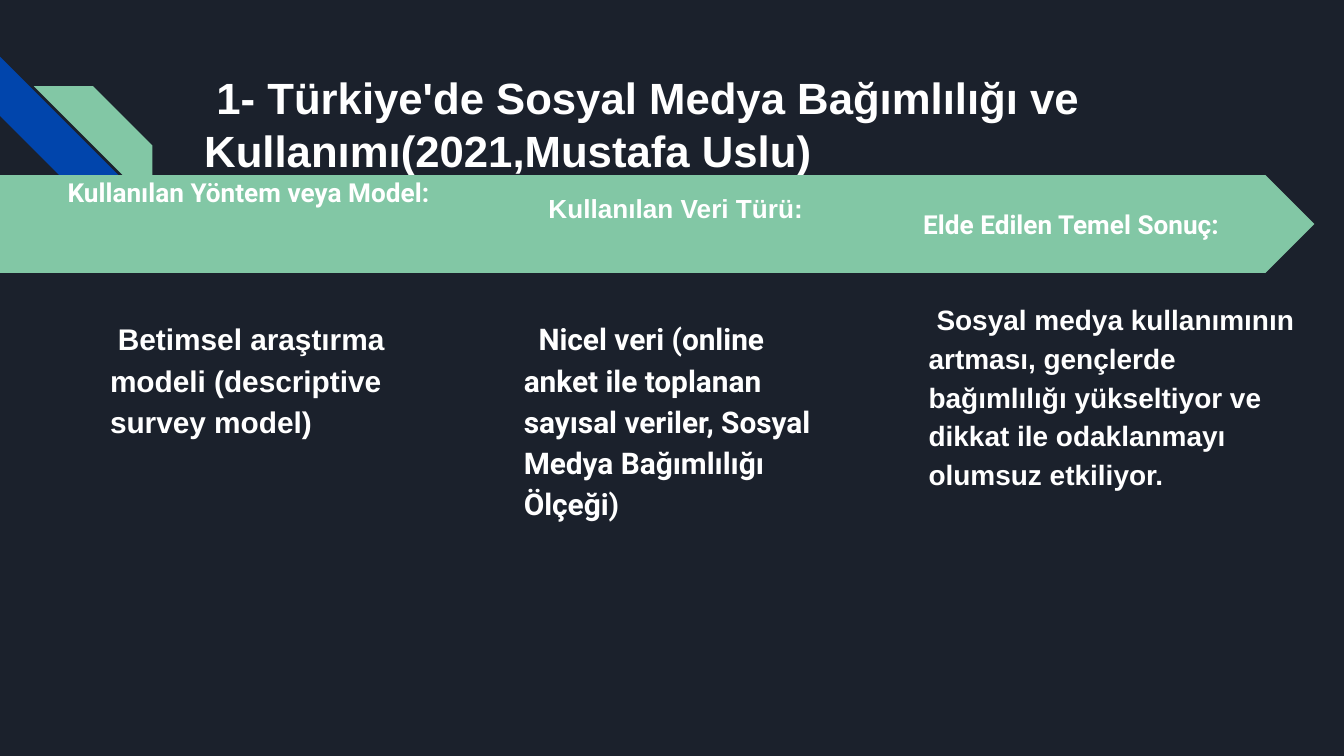
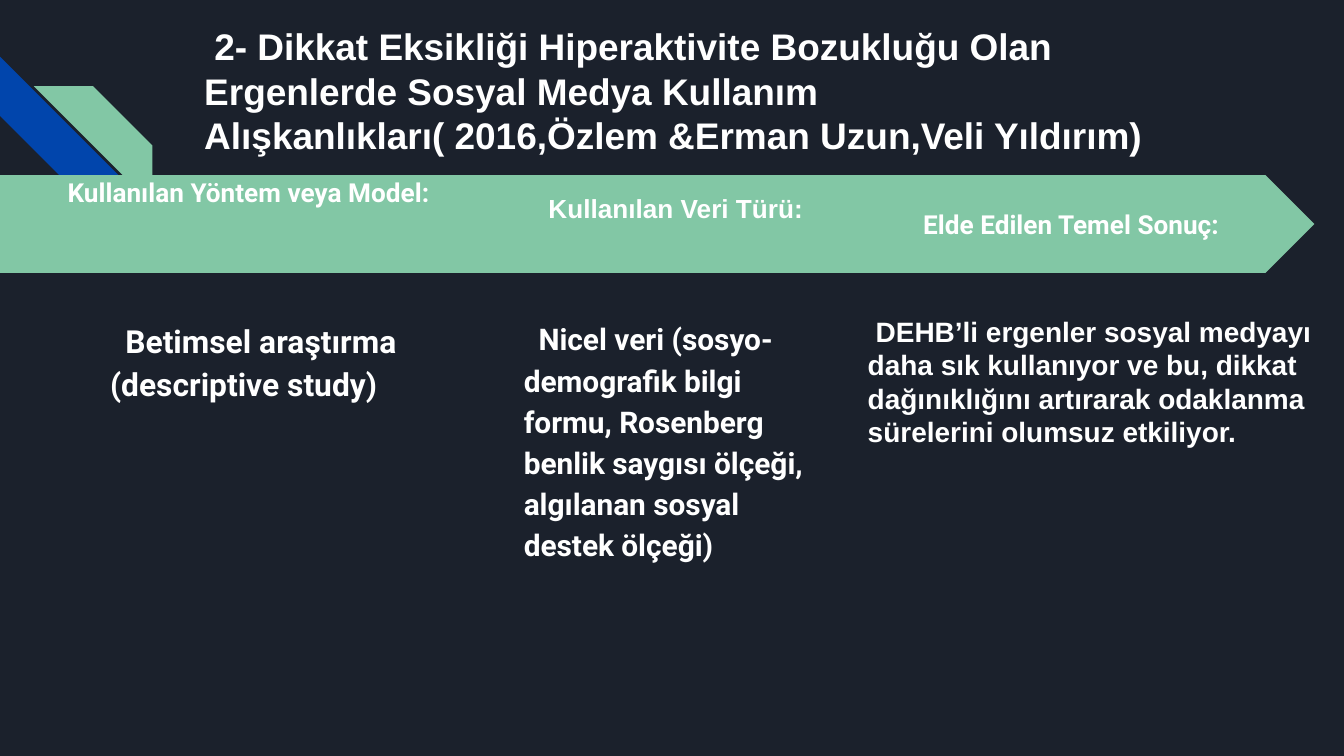
from dataclasses import dataclass

from pptx import Presentation
from pptx.dml.color import RGBColor
from pptx.enum.shapes import MSO_SHAPE
from pptx.enum.text import MSO_ANCHOR, MSO_AUTO_SIZE, PP_ALIGN
from pptx.util import Cm, Pt

STRIPE = MSO_SHAPE.DIAGONAL_STRIPE
PENTAGON = MSO_SHAPE.PENTAGON
CHEVRON = MSO_SHAPE.CHEVRON
TOP = MSO_ANCHOR.TOP
LEFT, CENTER = PP_ALIGN.LEFT, PP_ALIGN.CENTER
NO_FIT, GROW = MSO_AUTO_SIZE.NONE, MSO_AUTO_SIZE.SHAPE_TO_FIT_TEXT

NAVY, BLUE, GREEN, WHITE = "1B212C", "0145AC", "82C7A5", "FFFFFF"
ARIAL, ROBOTO = "Arial", "Roboto"
INSET = 0.25
BAND_TOP, BAND_HEIGHT = 3.31, 1.85
TITLE_ONLY = 5


# Lengths in the records are centimetres, text sizes are points.
@dataclass
class Box:
    left: float
    top: float
    width: float
    height: float


@dataclass
class Style:
    size: float
    font: str = ARIAL
    first_line: float = 0
    margin: float = 0
    spacing: float = 1.0
    align: PP_ALIGN = LEFT


@dataclass
class Stripe:
    left: float
    top: float
    rotation: int
    color: str


@dataclass
class Band:
    text: str
    preset: MSO_SHAPE
    left: float
    width: float
    font: str


@dataclass
class Body:
    text: str
    box: Box
    style: Style
    fit: MSO_AUTO_SIZE = NO_FIT


@dataclass
class Study:
    title: str
    title_top: float
    title_style: Style
    bodies: list[Body]


# Shared parts
STRIPES = [Stripe(0, 1.07, 270, BLUE), Stripe(0.64, 1.63, 90, GREEN)]
BANDS = [
    Band("Kullanılan Yöntem veya Model:", PENTAGON, 0, 9.86, ROBOTO),
    Band("Kullanılan Veri Türü:", CHEVRON, 8.18, 9.19, ARIAL),
    Band("Elde Edilen Temel Sonuç:", CHEVRON, 15.65, 9.19, ROBOTO),
]
METHOD_BOX = Box(1.83, 5.72, 6.22, 7.26)
DATA_BOX = Box(9.65, 5.72, 6.22, 7.26)
DATA_STYLE = Style(16, ROBOTO, 0.28, spacing=1.15)

# Slide contents
STUDIES = [
    Study(
        "1- Türkiye'de Sosyal Medya Bağımlılığı ve Kullanımı(2021,Mustafa Uslu)",
        1.09, Style(23.4, first_line=0.23),
        [
            Body("Betimsel araştırma modeli (descriptive survey model)",
                 METHOD_BOX, Style(16, first_line=0.15, spacing=1.15)),
            Body("Nicel veri (online anket ile toplanan sayısal veriler, "
                 "Sosyal Medya Bağımlılığı Ölçeği)", DATA_BOX, DATA_STYLE),
            Body("Sosyal medya kullanımının artması, gençlerde bağımlılığı "
                 "yükseltiyor ve dikkat ile odaklanmayı olumsuz etkiliyor.",
                 Box(16.23, 5.38, 8.89, 6.02),
                 Style(15, first_line=0.15, margin=1.07, spacing=1.15), GROW),
        ],
    ),
    Study(
        "2- Dikkat Eksikliği Hiperaktivite Bozukluğu Olan Ergenlerde Sosyal Medya "
        "Kullanım Alışkanlıkları( 2016,Özlem &Erman Uzun,Veli Yıldırım)",
        0.2, Style(19.8, first_line=0.19),
        [
            Body("Betimsel araştırma (descriptive study)",
                 METHOD_BOX, Style(17, ROBOTO, 0.29, spacing=1.15)),
            Body("Nicel veri (sosyo-demografik bilgi formu, Rosenberg benlik saygısı "
                 "ölçeği, algılanan sosyal destek ölçeği)", DATA_BOX, DATA_STYLE),
            Body("DEHB’li ergenler sosyal medyayı daha sık kullanıyor ve bu, dikkat "
                 "dağınıklığını artırarak odaklanma sürelerini olumsuz etkiliyor.",
                 Box(16.15, 5.69, 8.89, 4.95), Style(15, first_line=0.15), GROW),
        ],
    ),
]


def rgb(color: str) -> RGBColor:
    return RGBColor.from_string(color)


def emus(box: Box) -> list[Cm]:
    return [Cm(v) for v in (box.left, box.top, box.width, box.height)]


def write(sp, text: str, style: Style, inset_top: float = INSET, fit=NO_FIT) -> None:
    tf = sp.text_frame
    tf.text = text
    tf.word_wrap = True
    tf.auto_size = fit
    tf.vertical_anchor = TOP
    tf.margin_left = tf.margin_right = tf.margin_bottom = Cm(INSET)
    tf.margin_top = Cm(inset_top)
    p = tf.paragraphs[0]
    p_pr = p._p.get_or_add_pPr()
    p_pr.set("marL", str(Cm(style.margin)))
    p_pr.set("indent", str(Cm(style.first_line)))
    p.alignment = style.align
    p.line_spacing = style.spacing
    p.space_before = Pt(0)
    font = p.runs[0].font
    font.name, font.size, font.bold = style.font, Pt(style.size), True
    font.color.rgb = rgb(WHITE)


def add_shape(s, preset: MSO_SHAPE, box: Box, color: str):
    sp = s.shapes.add_shape(preset, *emus(box))
    sp.adjustments[0] = 0.5
    sp.shadow.inherit = False
    sp.fill.solid()
    sp.fill.fore_color.rgb = rgb(color)
    sp.line.fill.background()
    return sp


def add_stripe(s, stripe: Stripe) -> None:
    sp = add_shape(s, STRIPE, Box(stripe.left, stripe.top, 2.24, 2.24), stripe.color)
    sp.rotation = stripe.rotation


def add_band(s, band: Band, index: int) -> None:
    box = Box(band.left, BAND_TOP, band.width, BAND_HEIGHT)
    sp = add_shape(s, band.preset, box, GREEN)
    # Each label sits one step lower than the one before
    write(sp, band.text, Style(14, band.font, align=CENTER), 0.03 + 0.3 * index)


def add_body(s, body: Body) -> None:
    sp = s.shapes.add_textbox(*emus(body.box))
    write(sp, body.text, body.style, fit=body.fit)


def add_study(prs, study: Study) -> None:
    s = prs.slides.add_slide(prs.slide_layouts[TITLE_ONLY])
    for stripe in STRIPES:
        add_stripe(s, stripe)
    title = s.shapes.title
    title.left, title.top, title.width, title.height = emus(
        Box(3.61, study.title_top, 19.56, 2.54))
    write(title, study.title, study.title_style)
    for i, band in enumerate(BANDS):
        add_band(s, band, i)
    for body in study.bodies:
        add_body(s, body)


def main() -> None:
    prs = Presentation()
    prs.slide_width, prs.slide_height = Cm(25.4), Cm(14.29)
    fill = prs.slide_master.background.fill
    fill.solid()
    fill.fore_color.rgb = rgb(NAVY)
    for study in STUDIES:
        add_study(prs, study)
    prs.save("out.pptx")


if __name__ == "__main__":
    main()
